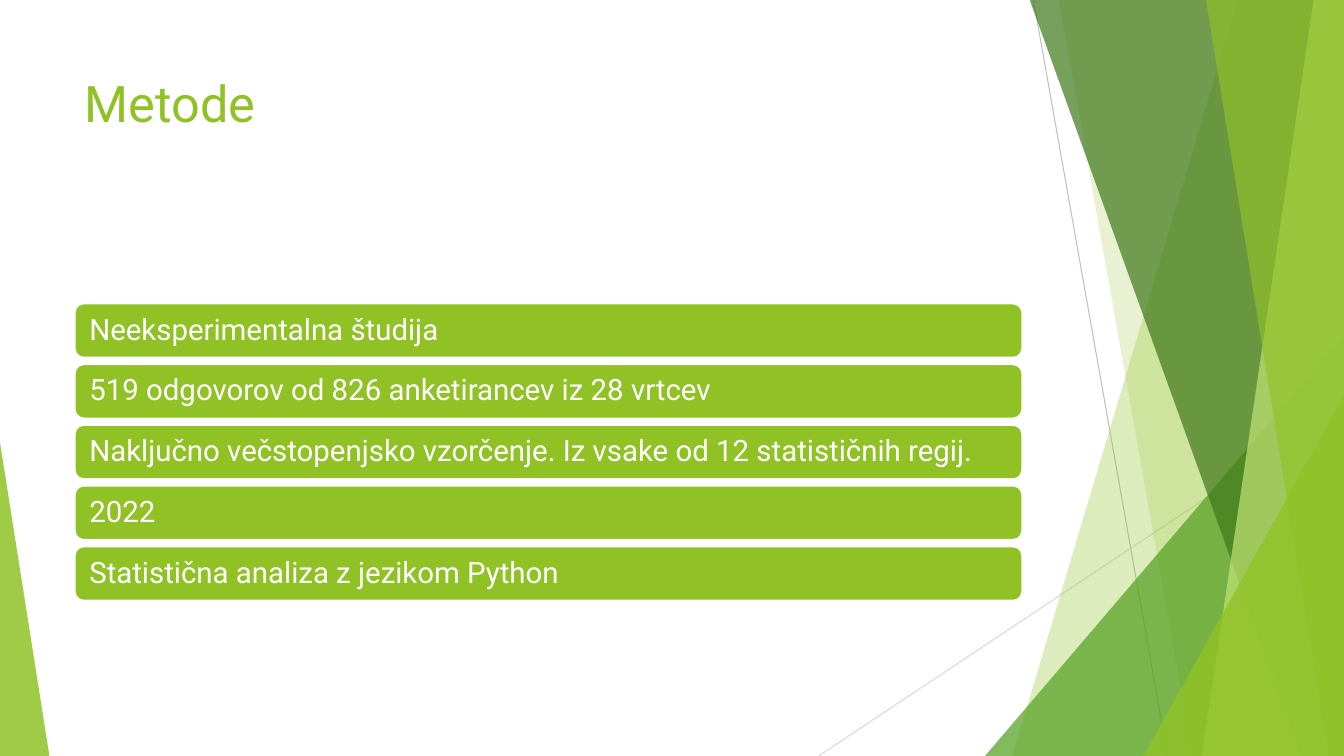
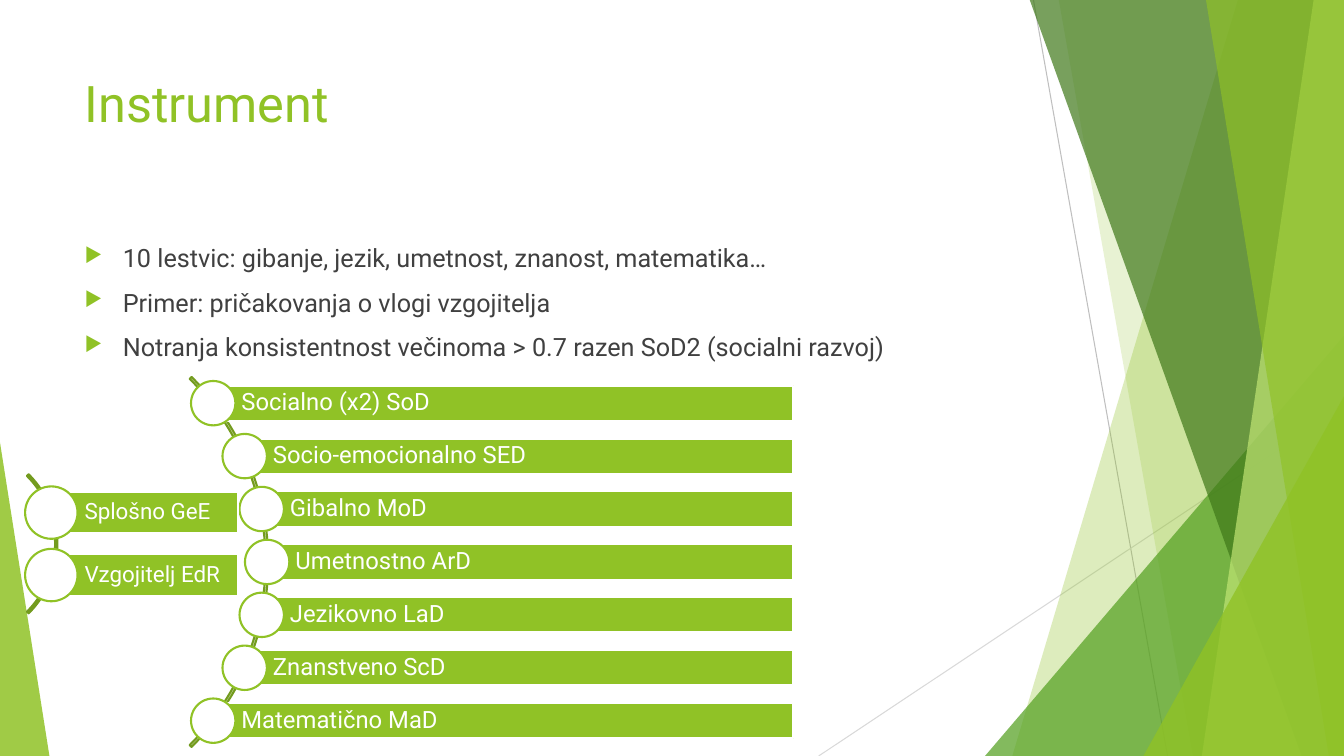
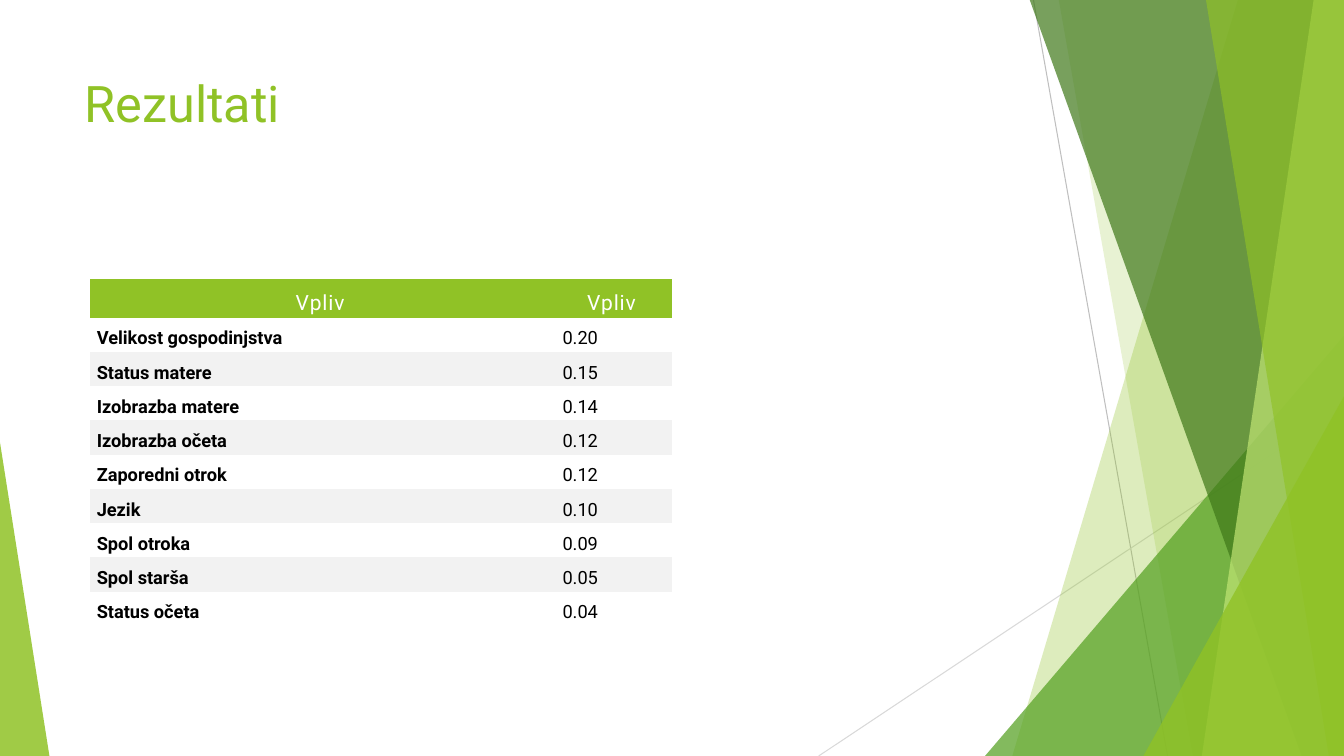
from math import sqrt

from lxml.etree import SubElement
from pptx import Presentation
from pptx.dml.color import RGBColor
from pptx.enum.shapes import MSO_CONNECTOR, MSO_SHAPE
from pptx.enum.text import MSO_ANCHOR, PP_ALIGN
from pptx.oxml.ns import qn
from pptx.util import Inches, Pt

WIDTH, HEIGHT = 13.33, 7.5
FONT = "Roboto"
COLOURS = {
    "lime": "90C226", "pale": "C0E474", "green": "54A021", "forest": "3F7819",
    "olive": "739B1E", "white": "FFFFFF", "black": "000000", "text": "404040",
    "stripe": "F2F2F2", "grey": "BFBFBF", "light grey": "D9D9D9",
}
NO_GRID_STYLE = "{2D5ABB26-0587-4C30-8999-92F81FD0307C}"

METHODS = [
    "Neeksperimentalna študija",
    "519 odgovorov od 826 anketirancev iz 28 vrtcev",
    "Naključno večstopenjsko vzorčenje. Iz vsake od 12 statističnih regij.",
    "2022",
    "Statistična analiza z jezikom Python",
]
INSTRUMENT_FACTS = [
    "10 lestvic: gibanje, jezik, umetnost, znanost, matematika…",
    "Primer: pričakovanja o vlogi vzgojitelja",
    "Notranja konsistentnost večinoma > 0.7 razen SoD2 (socialni razvoj)",
]
DEVELOPMENT_SCALES = [
    "Socialno (x2) SoD", "Socio-emocionalno SED", "Gibalno MoD", "Umetnostno ArD",
    "Jezikovno LaD", "Znanstveno ScD", "Matematično MaD",
]
GENERAL_SCALES = ["Splošno GeE", "Vzgojitelj EdR"]
EFFECTS = [
    ("Velikost gospodinjstva", "0.20"), ("Status matere", "0.15"),
    ("Izobrazba matere", "0.14"), ("Izobrazba očeta", "0.12"),
    ("Zaporedni otrok", "0.12"), ("Jezik", "0.10"), ("Spol otroka", "0.09"),
    ("Spol starša", "0.05"), ("Status očeta", "0.04"),
]


def rgb(colour):
    """Return the named colour."""
    return RGBColor.from_string(COLOURS[colour])


def apply(target, values):
    """Set each attribute of the target from a dict."""
    for name, value in values.items():
        setattr(target, name, value)


def paint(shape, fill=None, line=None, alpha=100):
    """Give a shape a flat fill and outline without shadow."""
    shape.shadow.inherit = False
    if fill:
        shape.fill.solid()
        shape.fill.fore_color.rgb = rgb(fill)
        if alpha < 100:
            tint = shape.element.find(".//" + qn("a:srgbClr"))
            SubElement(tint, qn("a:alpha")).set("val", str(alpha * 1000))
    else:
        shape.fill.background()
    if line:
        shape.line.color.rgb = rgb(line)
        shape.line.width = Pt(1.5)
    else:
        shape.line.fill.background()


def add_figure(shapes, kind, box, **look):
    """Add a painted preset shape in a box given in inches."""
    figure = shapes.add_shape(kind, *map(Inches, box))
    paint(figure, **look)
    return figure


def write(paragraph, text, size, colour, bold=False, **layout):
    """Write one formatted run into a paragraph and return it."""
    apply(paragraph, layout)
    run = paragraph.add_run()
    run.text = text
    apply(run.font, {"name": FONT, "size": Pt(size), "bold": bold})
    run.font.color.rgb = rgb(colour)
    return run


def label(shape, text, size, inset):
    """Write white left-aligned text in the middle of a bar."""
    apply(shape.text_frame, {
        "word_wrap": True, "vertical_anchor": MSO_ANCHOR.MIDDLE,
        "margin_left": Inches(inset), "margin_right": Inches(0.05),
        "margin_top": Inches(0.05), "margin_bottom": Inches(0.05),
    })
    write(shape.text_frame.paragraphs[0], text, size, "white",
          alignment=PP_ALIGN.LEFT, line_spacing=0.9)


def add_hairline(shapes, start, end, colour):
    """Add a thin straight line between two points."""
    hairline = shapes.add_connector(
        MSO_CONNECTOR.STRAIGHT, *map(Inches, (*start, *end)))
    hairline.line.color.rgb = rgb(colour)
    hairline.line.width = Pt(0.75)
    SubElement(hairline.element.spPr, qn("a:effectLst"))


def add_ribbon(shapes, top_x, bottom_x, colour, alpha):
    """Add a translucent panel from a slanted left edge to the slide's right edge."""
    top = Inches(-0.01)
    right, bottom = Inches(WIDTH), Inches(HEIGHT)
    outline = shapes.build_freeform(Inches(top_x), top)
    outline.add_line_segments(
        [(right, top), (right, bottom), (Inches(bottom_x), bottom)], close=True)
    paint(outline.convert_to_shape(), colour, alpha=alpha)


def add_wedge(shapes, left, top, width, peak, colour, alpha):
    """Add a translucent right triangle standing on the slide's lower edge."""
    wedge = add_figure(shapes, MSO_SHAPE.ISOSCELES_TRIANGLE,
                       (left, top, width, HEIGHT - top), fill=colour, alpha=alpha)
    wedge.adjustments[0] = peak


def build_backdrop(slide, master):
    """Draw the facets once and move them behind everything on the master."""
    backdrop = slide.shapes.add_group_shape()
    facets = backdrop.shapes
    add_hairline(facets, (10.25, 0), (11.58, HEIGHT), "grey")
    add_hairline(facets, (WIDTH, 4.03), (8.12, HEIGHT), "light grey")
    add_ribbon(facets, 12.28, 10.04, "lime", 30)
    add_ribbon(facets, 10.5, 11.83, "lime", 20)
    add_wedge(facets, 9.77, 3.33, 3.56, 1, "green", 72)
    add_ribbon(facets, 10.21, 12.91, "forest", 70)
    add_ribbon(facets, 13.03, 11.92, "pale", 70)
    add_ribbon(facets, 11.96, 13.18, "lime", 65)
    add_wedge(facets, 11.34, 3.93, 1.99, 1, "lime", 80)
    add_wedge(facets, 0, 4.39, 0.49, 0, "lime", 85)
    master.shapes.element.insert(2, backdrop.element)
    for number, properties in enumerate(master.element.iter(qn("p:cNvPr")), 1):
        properties.set("id", str(number))


def start_slide(deck, heading):
    """Add a title-only slide with the shared title style."""
    slide = deck.slides.add_slide(deck.slide_layouts[5])
    title = slide.shapes.title
    apply(title, {"left": Inches(0.74), "top": Inches(0.67),
                  "width": Inches(9.4), "height": Inches(1.44)})
    title.text_frame.vertical_anchor = MSO_ANCHOR.TOP
    write(title.text_frame.paragraphs[0], heading, 36, "lime",
          alignment=PP_ALIGN.LEFT)
    return slide


def add_bar_list(slide, box, entries):
    """Stack rounded bars evenly in the box."""
    left, top, width, height = box
    bar_height = 0.54
    pitch = (height - bar_height) / (len(entries) - 1)
    for row, entry in enumerate(entries):
        bar = add_figure(slide.shapes, MSO_SHAPE.ROUNDED_RECTANGLE,
                         (left, top + row * pitch, width, bar_height),
                         fill="lime", line="white")
        label(bar, entry, 21, 0.12)


def add_bullets(slide, box, entries):
    """Add a list with green arrow bullets."""
    frame = slide.shapes.add_textbox(*map(Inches, box)).text_frame
    frame.word_wrap = True
    for row, entry in enumerate(entries):
        paragraph = frame.add_paragraph() if row else frame.paragraphs[0]
        write(paragraph, entry, 18, "text", space_before=Pt(10))
        properties = paragraph._p.get_or_add_pPr()
        properties.set("marL", str(Inches(0.38)))
        properties.set("indent", str(Inches(-0.38)))
        bullet_colour = SubElement(properties, qn("a:buClr"))
        SubElement(bullet_colour, qn("a:srgbClr")).set("val", COLOURS["lime"])
        SubElement(properties, qn("a:buSzPct")).set("val", "80000")
        SubElement(properties, qn("a:buChar")).set("char", "▶")


def add_arc_list(slide, box, entries, right, pitch, bar_height, dot, size, inset, thickness):
    """Hang bars with round markers along the right side of an arc in the box."""
    left, top, diameter, _ = box
    arc = add_figure(slide.shapes, MSO_SHAPE.BLOCK_ARC, box, line="olive")
    for index, value in enumerate((189, 27, thickness)):
        arc.adjustments[index] = value
    radius = diameter / 2 - 0.01
    for row, entry in enumerate(entries):
        offset = (row - (len(entries) - 1) / 2) * pitch
        x = left + diameter / 2 + sqrt(radius ** 2 - offset ** 2)
        y = top + diameter / 2 + offset
        bar = add_figure(slide.shapes, MSO_SHAPE.RECTANGLE,
                         (x, y - bar_height / 2, right - x, bar_height),
                         fill="lime", line="white")
        label(bar, entry, size, inset)
        add_figure(slide.shapes, MSO_SHAPE.OVAL,
                   (x - dot / 2, y - dot / 2, dot, dot), fill="white", line="lime")


def fill_cell(cell, text, fill, inset, size, colour, bold, alignment, anchor):
    """Format one table cell and return its run."""
    apply(cell, {"margin_left": Inches(inset), "margin_right": Inches(0.07),
                 "margin_top": Inches(0.09), "margin_bottom": 0,
                 "vertical_anchor": anchor})
    if fill:
        cell.fill.solid()
        cell.fill.fore_color.rgb = rgb(fill)
    else:
        cell.fill.background()
    return write(cell.text_frame.paragraphs[0], text, size, colour, bold,
                 alignment=alignment, line_spacing=1.07)


def add_effects_table(slide, box, heads, entries):
    """Add the table of effects with striped rows."""
    holder = slide.shapes.add_table(len(entries) + 1, 2, *map(Inches, box))
    holder.element.find(".//" + qn("a:tableStyleId")).text = NO_GRID_STYLE
    table = holder.table
    apply(table, {"first_row": False, "horz_banding": False})
    for column, width in zip(table.columns, (4.57, 1.21)):
        column.width = Inches(width)
    for index, row in enumerate(table.rows):
        row.height = Inches(0.34 if index else 0.38)
    for column, head in enumerate(heads):
        run = fill_cell(table.cell(0, column), head, "lime", 0.07, 15, "white",
                        False, PP_ALIGN.CENTER, MSO_ANCHOR.MIDDLE)
        run._r.get_or_add_rPr().set("spc", "60")
    for row, entry in enumerate(entries, 1):
        stripe = None if row % 2 else "stripe"
        for column, text in enumerate(entry):
            fill_cell(table.cell(row, column), text, stripe, (0.07, 0.12)[column],
                      13, "black", column == 0, PP_ALIGN.JUSTIFY, MSO_ANCHOR.TOP)


def main():
    """Build and save the three slides."""
    deck = Presentation()
    apply(deck, {"slide_width": Inches(WIDTH), "slide_height": Inches(HEIGHT)})

    methods = start_slide(deck, "Metode")
    build_backdrop(methods, deck.slide_master)
    add_bar_list(methods, (0.74, 3.01, 9.4, 2.95), METHODS)

    instrument = start_slide(deck, "Instrument")
    add_bullets(instrument, (0.74, 2.36, 9.4, 4.24), INSTRUMENT_FACTS)
    add_arc_list(instrument, (-2.53, 2.98, 5.19, 5.19), DEVELOPMENT_SCALES,
                 right=7.87, pitch=0.525, bar_height=0.35, dot=0.44,
                 size=17, inset=0.28, thickness=0.005)
    add_arc_list(instrument, (-1.38, 4.42, 1.95, 1.95), GENERAL_SCALES,
                 right=2.36, pitch=0.62, bar_height=0.41, dot=0.52,
                 size=16, inset=0.33, thickness=0.012)

    results = start_slide(deck, "Rezultati")
    add_effects_table(results, (0.89, 2.77, 5.78, 3.43), ("Vpliv", "Vpliv"), EFFECTS)

    deck.save("out.pptx")


if __name__ == "__main__":
    main()
